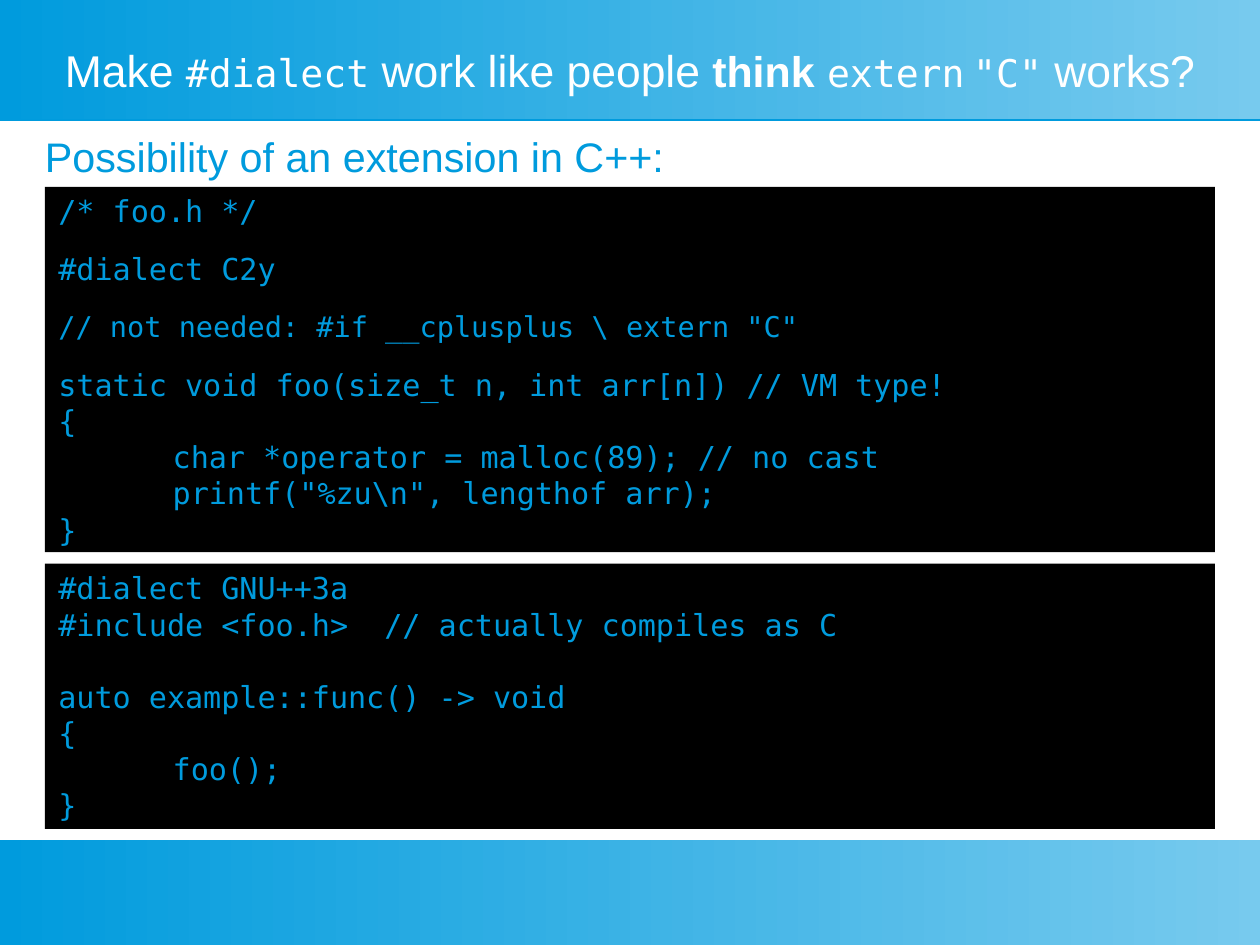
import pptx
import pptx.util
import pptx.dml.color
import pptx.enum.shapes
import pptx.enum.text
import lxml.etree

Pt = pptx.util.Pt
RGB = pptx.dml.color.RGBColor
RECT = pptx.enum.shapes.MSO_SHAPE.RECTANGLE
ANCHOR = pptx.enum.text.MSO_ANCHOR
ALIGN = pptx.enum.text.PP_ALIGN

BLUE = RGB(0x00, 0x9B, 0xDD)
PALE = RGB(0x77, 0xCA, 0xEE)
WHITE = RGB(0xFF, 0xFF, 0xFF)
BLACK = RGB(0x00, 0x00, 0x00)

SANS = "Arial"
MONO = "DejaVu Sans Mono"
WIDE, HIGH = 793.7, 595.28
LEFT, SPAN = 28.3, 737
INDENT, TAB = 8.5, 72
DRAWING = "http://schemas.openxmlformats.org/drawingml/2006/main"

# Each title run: text, font, size, bold
TITLE = [
    ("Make ", SANS, 28, False),
    ("#dialect", MONO, 24, False),
    (" work like people ", SANS, 28, False),
    ("think", SANS, 27, True),
    (" ", SANS, 28, False),
    ("extern", MONO, 24, False),
    (" ", MONO, 9, False),
    ('"C"', MONO, 24, False),
    (" works?", SANS, 28, False),
]

# Each code paragraph: text, size, space before
HEADER = [
    ("/* foo.h */", 19, 0),
    ("#dialect C2y", 19, 14.2),
    ('// not needed: #if __cplusplus \\ extern "C"', 18, 14.2),
    ("static void foo(size_t n, int arr[n]) // VM type!\n{\n"
     "\tchar *operator = malloc(89); // no cast\n"
     '\tprintf("%zu\\n", lengthof arr);\n}', 19, 14.2),
]
SOURCE = [
    ("#dialect GNU++3a", 19, 0),
    ("#include <foo.h>  // actually compiles as C", 19, 0),
    ("auto example::func() -> void\n{\n\tfoo();\n}", 19, 22.7),
]


def style(run, font, size, color, bold=False):
    run.font.name = font
    run.font.size = Pt(size)
    run.font.bold = bold
    run.font.color.rgb = color


def frame(shape, anchor):
    """Return the shape's text frame, wrapped and without margins."""
    text = shape.text_frame
    text.word_wrap = True
    text.vertical_anchor = anchor
    text.margin_left = text.margin_right = 0
    text.margin_top = text.margin_bottom = 0
    return text


def block(slide, box):
    shape = slide.shapes.add_shape(RECT, *map(Pt, box))
    shape.shadow.inherit = False
    shape.line.fill.background()
    return shape


def band(slide, box):
    """Draw a gradient bar with a thin blue edge cast below it."""
    bar = block(slide, box)
    bar.fill.gradient()
    bar.fill.gradient_angle = 0
    for stop, color in zip(bar.fill.gradient_stops, (BLUE, PALE)):
        stop.color.rgb = color
    effects = bar._element.spPr.find(f"{{{DRAWING}}}effectLst")
    edge = lxml.etree.SubElement(
        effects, f"{{{DRAWING}}}outerShdw", blurRad="0",
        dist=str(Pt(0.9)), dir="5400000", rotWithShape="0")
    lxml.etree.SubElement(edge, f"{{{DRAWING}}}srgbClr", val=str(BLUE))


def title(slide, box):
    text = frame(slide.shapes.add_textbox(*map(Pt, box)), ANCHOR.MIDDLE)
    line = text.paragraphs[0]
    line.alignment = ALIGN.CENTER
    for words, font, size, bold in TITLE:
        run = line.add_run()
        run.text = words
        style(run, font, size, WHITE, bold)


def lead(slide, box):
    text = frame(slide.shapes.add_textbox(*map(Pt, box)), ANCHOR.TOP)
    text.text = "Possibility of an extension in C++:"
    style(text.paragraphs[0].runs[0], SANS, 26, BLUE)


def code(slide, box, parts):
    panel = block(slide, box)
    panel.fill.solid()
    panel.fill.fore_color.rgb = BLACK
    text = frame(panel, ANCHOR.MIDDLE)
    for i, (words, size, gap) in enumerate(parts):
        para = text.add_paragraph() if i else text.paragraphs[0]
        para.text = words
        para.alignment = ALIGN.LEFT
        para.space_before = Pt(gap)
        props = para._p.get_or_add_pPr()
        props.set("marL", str(Pt(INDENT)))
        props.set("indent", "0")
        props.set("defTabSz", str(Pt(TAB)))
        for run in para.runs:
            style(run, MONO, size, BLUE)


def main():
    deck = pptx.Presentation()
    deck.slide_width, deck.slide_height = Pt(WIDE), Pt(HIGH)
    slide = deck.slides.add_slide(deck.slide_layouts[6])
    band(slide, (0, 0, WIDE, 75.3))
    band(slide, (0, 529.1, WIDE, HIGH - 529.1))
    title(slide, (14.2, 12.6, 765.3, 62.6))
    lead(slide, (LEFT, 82.5, SPAN, 29.5))
    code(slide, (LEFT, 355.1, SPAN, 167), SOURCE)
    code(slide, (LEFT, 117.7, SPAN, 230.2), HEADER)
    deck.save("out.pptx")


if __name__ == "__main__":
    main()
